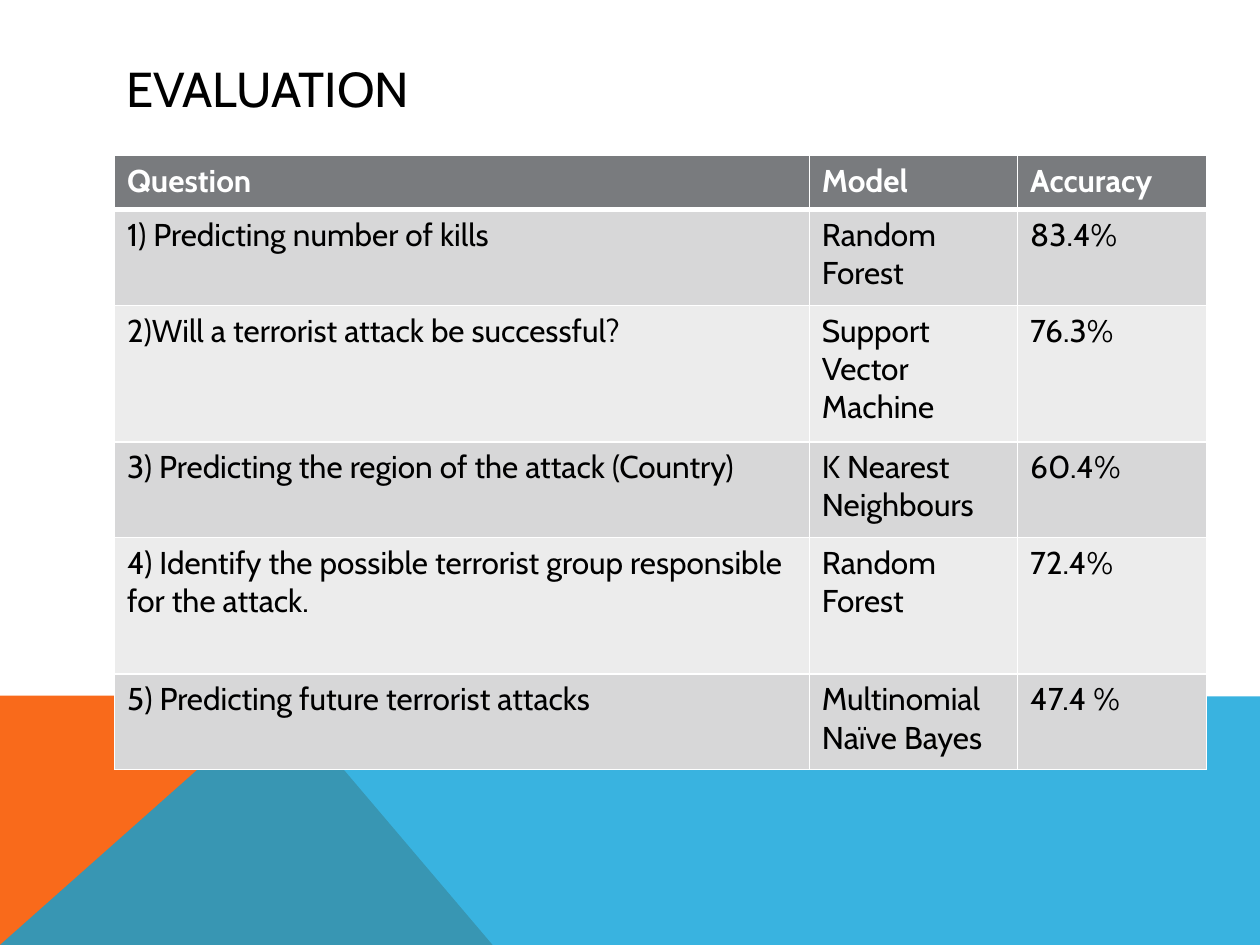
from lxml.etree import SubElement
from pptx import Presentation
from pptx.dml.color import RGBColor as RGB
from pptx.enum.text import MSO_ANCHOR, MSO_AUTO_SIZE, PP_ALIGN
from pptx.oxml import parse_xml
from pptx.oxml.ns import nsdecls, qn
from pptx.util import Pt

THEME = {
    "font": "Cabin",
    "title": {"size": Pt(28), "bold": False, "color": "000000"},
    "header": {"size": Pt(18), "bold": True, "color": "FFFFFF"},
    "body": {"size": Pt(18), "bold": False, "color": "000000"},
    "header_fill": "797B7E",
    "band_fills": ["ECECEC", "D7D7D8"],
    "border": "FFFFFF",
    "orange": "F96A1B",
    "blue": "08A1D9",
}


def format_text(text_frame, style):
    paragraph = text_frame.paragraphs[0]
    paragraph.alignment = PP_ALIGN.LEFT
    font = paragraph.runs[0].font
    for name in ("size", "bold"):
        setattr(font, name, style[name])
    font.name = THEME["font"]
    font.color.rgb = RGB.from_string(style["color"])


def set_borders(cell, widths):
    for position, (side, width) in enumerate(widths.items()):
        line = parse_xml(
            f'<a:ln{side} {nsdecls("a")} w="{Pt(width)}"><a:solidFill>'
            f'<a:srgbClr val="{THEME["border"]}"/></a:solidFill></a:ln{side}>'
        )
        cell._tc.get_or_add_tcPr().insert(position, line)


presentation = Presentation()
presentation.slide_width, presentation.slide_height = Pt(720), Pt(540)
slide = presentation.slides.add_slide(presentation.slide_layouts[5])

# Background wedges: the blue one is translucent over the orange one
wedges = [
    (THEME["orange"], 100, [(0, 540), (0, 397.5), (160.5, 397.5), (281.5, 540)]),
    (THEME["blue"], 80, [(0, 540), (160.5, 397.5), (720, 398), (720, 540)]),
]
for color, opacity, points in wedges:
    corners = [(Pt(x), Pt(y)) for x, y in points]
    builder = slide.shapes.build_freeform(*corners[0])
    builder.add_line_segments(corners[1:], close=True)
    shape = builder.convert_to_shape()
    shape.shadow.inherit = False
    shape.line.fill.background()
    shape.fill.solid()
    shape.fill.fore_color.rgb = RGB.from_string(color)
    if opacity < 100:
        color_element = shape._element.spPr.find(".//" + qn("a:srgbClr"))
        SubElement(color_element, qn("a:alpha"), val=str(opacity * 1000))

# Title
title = slide.shapes.title
title_box = {"left": Pt(65), "top": Pt(29), "width": Pt(592), "height": Pt(43)}
for name, value in title_box.items():
    setattr(title, name, value)
title.text_frame.text = "EVALUATION"
title_frame = {
    "vertical_anchor": MSO_ANCHOR.MIDDLE,
    "auto_size": MSO_AUTO_SIZE.NONE,
    "word_wrap": True,
}
for name, value in title_frame.items():
    setattr(title.text_frame, name, value)
format_text(title.text_frame, THEME["title"])

# Results table
rows = [
    ("Question", "Model", "Accuracy"),
    ("1) Predicting number of kills", "Random Forest", "83.4%"),
    ("2)Will a terrorist attack be successful?", "Support Vector Machine", "76.3%"),
    ("3) Predicting the region of the attack (Country)", "K Nearest Neighbours", "60.4%"),
    ("4) Identify the possible terrorist group responsible for the attack.",
     "Random Forest", "72.4%"),
    ("5) Predicting future terrorist attacks", "Multinomial Naïve Bayes", "47.4 %"),
]
column_widths = [397, 119, 108]
row_heights = [31, 54.7, 78, 54.7, 78, 54.7]
table = slide.shapes.add_table(
    len(rows), len(column_widths), Pt(65.5), Pt(88.8),
    Pt(sum(column_widths)), Pt(sum(row_heights)),
).table
for column, width in zip(table.columns, column_widths):
    column.width = Pt(width)
for row, height in zip(table.rows, row_heights):
    row.height = Pt(height)

for row_index, texts in enumerate(rows):
    is_header = row_index == 0
    fill = THEME["header_fill"] if is_header else THEME["band_fills"][row_index % 2]
    widths = {
        "L": 1,
        "R": 1,
        "T": 3 if row_index == 1 else 1,
        "B": 3 if is_header else 1,
    }
    for column_index, text in enumerate(texts):
        cell = table.cell(row_index, column_index)
        cell.text = text
        format_text(cell.text_frame, THEME["header" if is_header else "body"])
        cell.fill.solid()
        cell.fill.fore_color.rgb = RGB.from_string(fill)
        set_borders(cell, widths)

presentation.save("out.pptx")
